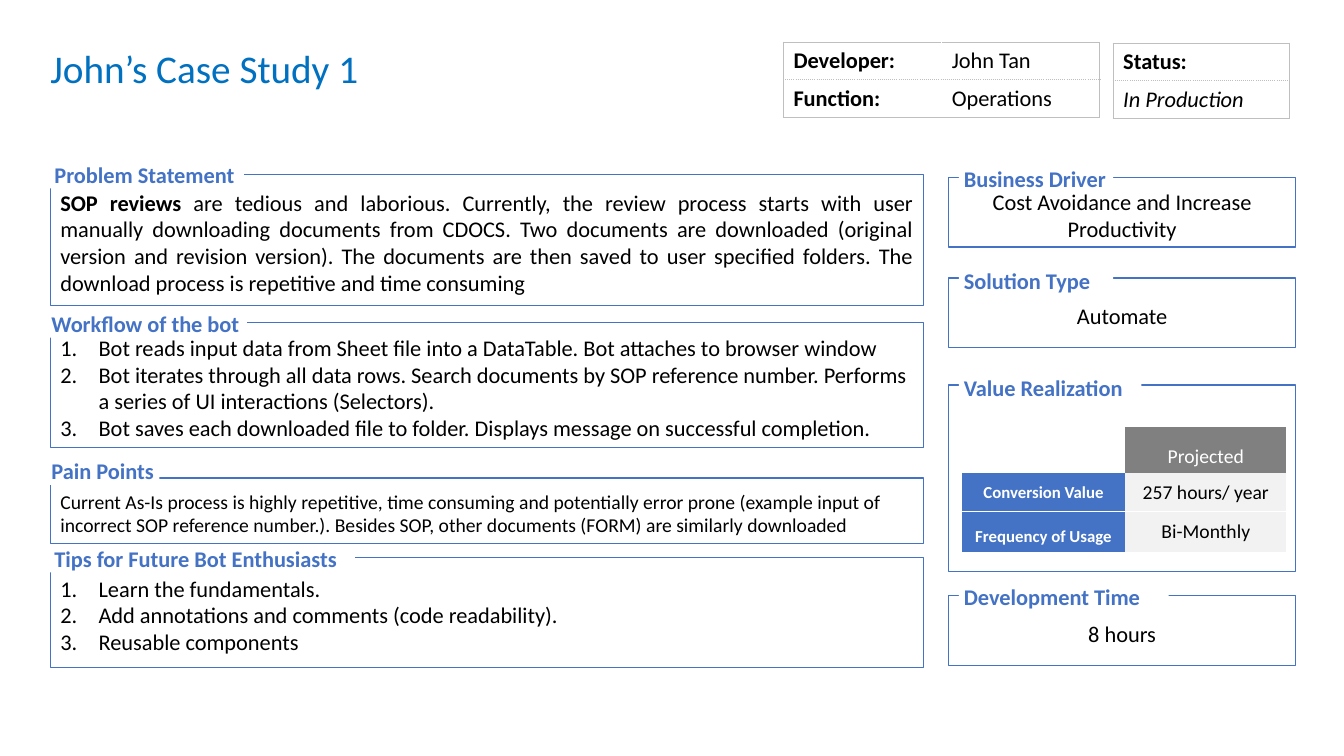
from lxml import etree
from pptx import Presentation
from pptx.dml.color import RGBColor
from pptx.enum.shapes import MSO_SHAPE
from pptx.enum.text import MSO_ANCHOR, MSO_AUTO_SIZE, PP_ALIGN
from pptx.oxml.ns import qn
from pptx.util import Inches, Pt

RECT = MSO_SHAPE.RECTANGLE
TOP, MIDDLE = MSO_ANCHOR.TOP, MSO_ANCHOR.MIDDLE
LEFT, CENTER, JUSTIFY = PP_ALIGN.LEFT, PP_ALIGN.CENTER, PP_ALIGN.JUSTIFY

WHITE = RGBColor(0xFF, 0xFF, 0xFF)
BLACK = RGBColor(0, 0, 0)
BLUE = RGBColor(0x44, 0x72, 0xC4)
TITLE_BLUE = RGBColor(0x00, 0x70, 0xC0)
GRAY = RGBColor(0x80, 0x80, 0x80)
PALE = RGBColor(0xF2, 0xF2, 0xF2)
RULE = RGBColor(0xBF, 0xBF, 0xBF)

FONT = "Calibri"
BOX_INSETS = (0.1, 0.1, 0.1, 0.05)
LABEL_INSETS = (0.05, 0, 0, 0)


# Text and shape helpers
def add_run(p, text, size=16, color=BLACK, **style):
    r = p.add_run()
    r.text = text
    for name, value in {"name": FONT, "size": Pt(size), **style}.items():
        setattr(r.font, name, value)
    r.font.color.rgb = color


def format_frame(tf, insets, anchor):
    sides = ("margin_left", "margin_top", "margin_right", "margin_bottom")
    for side, inset in zip(sides, insets):
        setattr(tf, side, Inches(inset))
    tf.word_wrap = True
    tf.auto_size = MSO_AUTO_SIZE.NONE
    tf.vertical_anchor = anchor


def number(p):
    pPr = p._p.get_or_add_pPr()
    pPr.set("marL", str(Inches(0.38)))
    pPr.set("indent", str(-Inches(0.38)))
    etree.SubElement(pPr, qn("a:buFont"), typeface="+mj-lt")
    etree.SubElement(pPr, qn("a:buAutoNum"), type="arabicPeriod")


def add_rect(s, box, line=None):
    sp = s.shapes.add_shape(RECT, *map(Inches, box))
    sp.shadow.inherit = False
    sp.fill.solid()
    sp.fill.fore_color.rgb = WHITE
    if line is None:
        sp.line.fill.background()
    else:
        sp.line.color.rgb = line
        sp.line.width = Pt(1)
    return sp


def add_section(s, box, label, label_box, paragraphs=(), size=16,
                align=LEFT, numbered=False):
    """Outlined box whose label, placed relative to it, breaks its top line."""
    tf = add_rect(s, box, BLUE).text_frame
    format_frame(tf, BOX_INSETS, MIDDLE)
    for i, runs in enumerate(paragraphs):
        p = tf.add_paragraph() if i else tf.paragraphs[0]
        p.alignment = align
        if numbered:
            number(p)
        for text, bold in runs:
            add_run(p, text, size, bold=bold)

    dx, dy, width = label_box
    tf = add_rect(s, (box[0] + dx, box[1] + dy, width, 0.27)).text_frame
    format_frame(tf, LABEL_INSETS, TOP)
    p = tf.paragraphs[0]
    p.alignment = LEFT
    add_run(p, label, color=BLUE, bold=True)


# Table helpers
def set_borders(cell, **borders):
    """Each border is (color, points, dash); a side left out has no line."""
    tcPr = cell._tc.get_or_add_tcPr()
    for i, side in enumerate("LRTB"):
        ln = etree.Element(qn(f"a:ln{side}"))
        tcPr.insert(i, ln)
        if side not in borders:
            etree.SubElement(ln, qn("a:noFill"))
            continue
        color, points, dash = borders[side]
        ln.set("w", str(Pt(points)))
        fill = etree.SubElement(ln, qn("a:solidFill"))
        etree.SubElement(fill, qn("a:srgbClr"), val=str(color))
        etree.SubElement(ln, qn("a:prstDash"), val=dash)


def add_table(s, left, top, widths, heights):
    table = s.shapes.add_table(
        len(heights), len(widths), Inches(left), Inches(top),
        Inches(sum(widths)), Inches(sum(heights))).table
    table.first_row = table.horz_banding = False
    for column, width in zip(table.columns, widths):
        column.width = Inches(width)
    for row, height in zip(table.rows, heights):
        row.height = Inches(height)
    return table


def fill_cell(cell, color):
    cell.fill.solid()
    cell.fill.fore_color.rgb = color


def add_info_table(s, left, top, widths, rows):
    """Gray frame, dotted line between rows, white line between columns."""
    table = add_table(s, left, top, widths, [0.36] * len(rows))
    edge, dotted, inner = (RULE, 0.75, "solid"), (RULE, 0.75, "sysDot"), (WHITE, 1, "solid")
    last_row, last_col = len(rows) - 1, len(widths) - 1
    for i, row in enumerate(rows):
        for j, (text, style) in enumerate(row):
            cell = table.cell(i, j)
            fill_cell(cell, WHITE)
            set_borders(cell,
                        L=inner if j else edge,
                        R=inner if j < last_col else edge,
                        T=dotted if i else edge,
                        B=dotted if i < last_row else edge)
            add_run(cell.text_frame.paragraphs[0], text, **style)


def add_value_table(s, left, top):
    table = add_table(s, left, top, (1.62, 1.6), (0.44, 0.38, 0.4))
    head = {"size": 12, "color": WHITE, "bold": True}
    value = {"size": 14}
    rows = [
        [("", WHITE, {}, 1), ("Projected", GRAY, {"size": 14, "color": WHITE}, 1.5)],
        [("Conversion Value", BLUE, head, 1), ("257 hours/ year", PALE, value, 1)],
        [("Frequency of Usage", BLUE, head, 1.5), ("Bi-Monthly", PALE, value, 1)],
    ]
    gap = (WHITE, 1.5, "solid")
    for i, row in enumerate(rows):
        for j, (text, fill, style, spacing) in enumerate(row):
            cell = table.cell(i, j)
            fill_cell(cell, fill)
            borders = {"R": gap} if j else {}
            if i:
                borders["B" if i == 1 else "T"] = gap
            set_borders(cell, **borders)
            cell.vertical_anchor = MIDDLE
            if text:
                p = cell.text_frame.paragraphs[0]
                p.alignment = CENTER
                p.line_spacing = spacing
                add_run(p, text, **style)


# Slide regions
def add_header(s, left, top):
    title = s.shapes.title
    title.left, title.top, title.width, title.height = map(Inches, (left, top, 4.34, 0.47))
    format_frame(title.text_frame, (0, 0, 0, 0), TOP)
    p = title.text_frame.paragraphs[0]
    p.alignment = LEFT
    add_run(p, "John’s Case Study 1", 28, TITLE_BLUE)

    bold, italic = {"bold": True}, {"italic": True}
    add_info_table(s, left + 7.27, top - 0.02, (1.57, 1.57), [
        [("Developer:", bold), ("John Tan", {})],
        [("Function:", bold), ("Operations", {})]])
    add_info_table(s, left + 10.54, top - 0.01, (1.75,), [
        [("Status:", bold)], [("In Production", italic)]])


def add_story(s, left, top, width):
    problem = [[
        ("SOP reviews ", True),
        ("are tedious and laborious. Currently, the review process starts with user "
         "manually downloading documents from CDOCS. Two documents are downloaded "
         "(original version and revision version). The documents are then saved to user "
         "specified folders. The download process is repetitive and time consuming", False)]]
    workflow = [[(text, False)] for text in (
        "Bot reads input data from Sheet file into a DataTable. Bot attaches to browser window",
        "Bot iterates through all data rows. Search documents by SOP reference number. "
        "Performs a series of UI interactions (Selectors).",
        "Bot saves each downloaded file to folder. Displays message on successful completion.")]
    pains = [[("Current As-Is process is highly repetitive, time consuming and potentially "
               "error prone (example input of incorrect SOP reference number.). Besides SOP, "
               "other documents (FORM) are similarly downloaded", False)]]
    tips = [[(text, False)] for text in (
        "Learn the fundamentals.",
        "Add annotations and comments (code readability).",
        "Reusable components")]
    for dy, height, label, label_box, paragraphs, style in (
            (0, 1.3, "Problem Statement", (-0.01, -0.13, 1.93), problem, {"align": JUSTIFY}),
            (1.47, 1.24, "Workflow of the bot", (-0.04, -0.12, 1.99), workflow, {"numbered": True}),
            (3.01, 0.65, "Pain Points", (-0.04, -0.2, 1.12), pains, {"size": 14}),
            (3.8, 1.09, "Tips for Future Bot Enthusiasts", (-0.01, -0.12, 3.03), tips,
             {"numbered": True})):
        add_section(s, (left, top + dy, width, height), label, label_box, paragraphs, **style)


def add_facts(s, left, top, width):
    for dy, height, label, label_dy, label_width, text in (
            (0, 0.69, "Business Driver", -0.12, 1.53, "Cost Avoidance and Increase Productivity"),
            (1, 0.69, "Solution Type", -0.11, 1.53, "Automate"),
            (2.06, 1.85, "Value Realization", -0.11, 1.81, None),
            (4.15, 0.69, "Development Time", -0.12, 2.08, "8 hours")):
        add_section(s, (left, top + dy, width, height), label, (0.1, label_dy, label_width),
                    [[(text, False)]] if text else (), align=CENTER)
    add_value_table(s, left + 0.13, top + 2.48)


prs = Presentation()
prs.slide_width, prs.slide_height = Inches(13.33), Inches(7.5)
s = prs.slides.add_slide(prs.slide_layouts[5])
add_header(s, 0.5, 0.44)
add_story(s, 0.5, 1.73, 8.66)
add_facts(s, 9.41, 1.76, 3.44)
prs.save("out.pptx")
